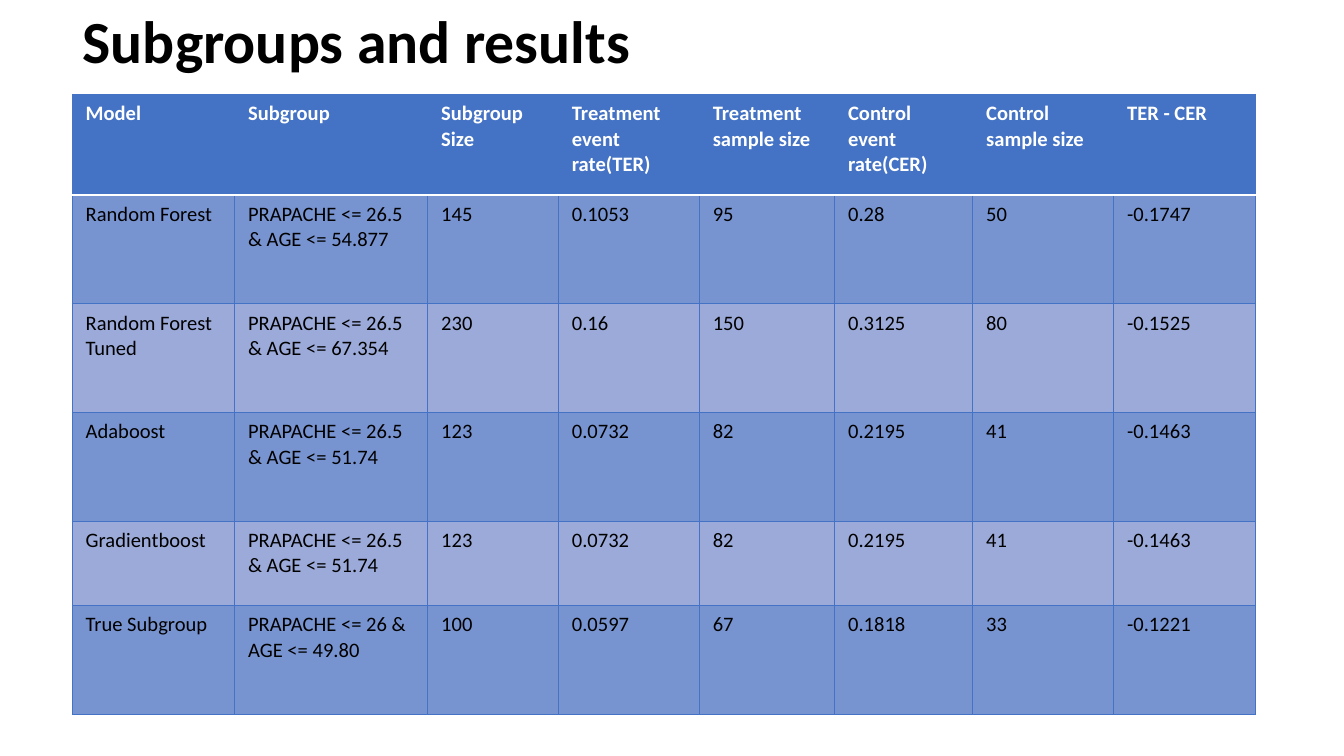
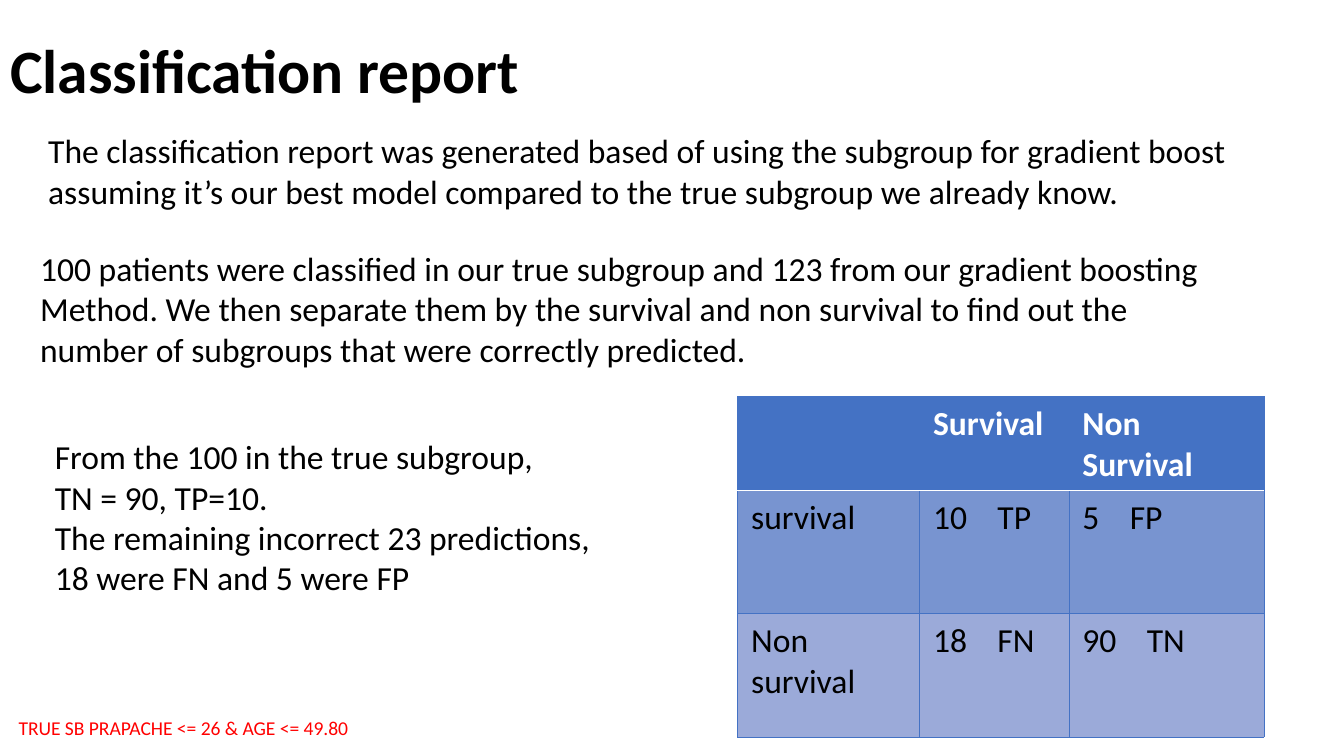
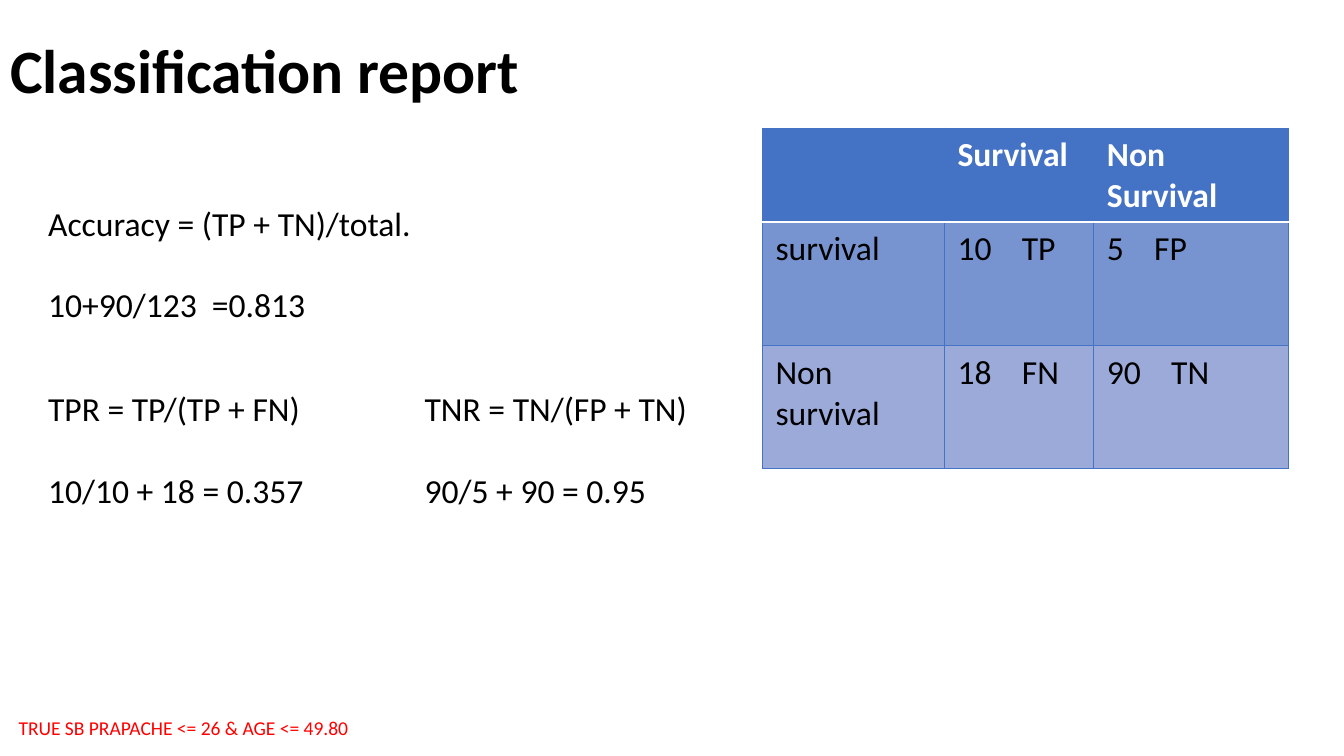
from dataclasses import dataclass

from lxml.etree import SubElement
from pptx import Presentation
from pptx.dml.color import RGBColor
from pptx.enum.text import MSO_ANCHOR, MSO_AUTO_SIZE, PP_ALIGN
from pptx.oxml.ns import qn
from pptx.util import Pt


@dataclass(frozen=True)
class Theme:
    font: str = "Calibri"
    ink: str = "000000"
    white: str = "FFFFFF"
    alert: str = "FF0000"
    header: str = "4472C4"
    bands: tuple = ("7894D0", "9BAAD9")
    results_size: float = 11
    body_size: float = 18
    footer_size: float = 10.5
    formula_gap: float = 22


THEME = Theme()
TITLE_ONLY = 5

RESULTS = [
    ("Model", "Subgroup", "Subgroup\nSize", "Treatment event rate(TER)",
     "Treatment sample size", "Control event rate(CER)", "Control sample size", "TER - CER"),
    ("Random Forest", "PRAPACHE <= 26.5 & AGE <= 54.877",
     "145", "0.1053", "95", "0.28", "50", "-0.1747"),
    ("Random Forest Tuned", "PRAPACHE <= 26.5 & AGE <= 67.354",
     "230", "0.16", "150", "0.3125", "80", "-0.1525"),
    ("Adaboost", "PRAPACHE <= 26.5 & AGE <= 51.74",
     "123", "0.0732", "82", "0.2195", "41", "-0.1463"),
    ("Gradientboost", "PRAPACHE <= 26.5 & AGE <= 51.74",
     "123", "0.0732", "82", "0.2195", "41", "-0.1463"),
    ("True Subgroup", "PRAPACHE <= 26 & AGE <= 49.80",
     "100", "0.0597", "67", "0.1818", "33", "-0.1221"),
]
RESULTS_COLUMNS = (87, 103.5, 70, 75.5, 72.5, 74, 75.5, 76)
RESULTS_ROWS = (54, 58.2, 58.2, 58.2, 45.2, 58.2)

CONFUSION = [
    ("", "Survival", "Non Survival"),
    ("survival", "10    TP", "5    FP"),
    ("Non survival", "18    FN", "90    TN"),
]
CONFUSION_COLUMNS = (97.5, 80, 104.5)
CONFUSION_ROWS = (36, 66, 66)

REPORT_TITLE = "Classification report"
FOOTER = "TRUE SB PRAPACHE <= 26 & AGE <= 49.80"

# Each entry: (left, top, width, height), lines
EXPLANATIONS = [
    ((18.7, 66.2, 658, 51), [
        "The classification report was generated based of using the subgroup for gradient boost",
        "assuming it’s our best model compared to the true subgroup we already know."]),
    ((14.4, 129.2, 647, 73), [
        "100 patients were classified in our true subgroup and 123 from our gradient boosting",
        "Method. We then separate them by the survival and non survival to find out the",
        "number of subgroups that were correctly predicted."]),
    ((22.3, 230.2, 305, 94.5), [
        "From the 100 in the true subgroup,",
        "TN = 90, TP=10.",
        "The remaining incorrect 23 predictions,",
        "18 were FN and 5 were FP"]),
]
FORMULAS = [
    ((18.7, 105, 211, 73), ["Accuracy = (TP + TN)/total.", "10+90/123  =0.813"]),
    ((220.4, 204.5, 157, 73), ["TNR = TN/(FP + TN)", "90/5 + 90 = 0.95"]),
    ((18.7, 204.5, 360, 73), ["TPR = TP/(TP + FN)", "10/10 + 18 = 0.357"]),
]


def points(values):
    return [Pt(value) for value in values]


def style_text(frame, size, color, bold=False):
    for paragraph in frame.paragraphs:
        for run in paragraph.runs:
            run.font.name = THEME.font
            run.font.size = Pt(size)
            run.font.bold = bold
            run.font.color.rgb = RGBColor.from_string(color)


def add_titled_slide(deck, heading, box, size):
    slide = deck.slides.add_slide(deck.slide_layouts[TITLE_ONLY])
    title = slide.shapes.title
    title.left, title.top, title.width, title.height = points(box)
    frame = title.text_frame
    frame.text = heading
    frame.auto_size = MSO_AUTO_SIZE.NONE
    frame.vertical_anchor = MSO_ANCHOR.MIDDLE
    frame.margin_left = frame.margin_right = Pt(5.4)
    frame.margin_top = frame.margin_bottom = Pt(2.7)
    frame.paragraphs[0].alignment = PP_ALIGN.LEFT
    frame.paragraphs[0].line_spacing = 0.9
    style_text(frame, size, THEME.ink, bold=True)
    return slide


def add_lines(slide, box, lines, size=THEME.body_size, color=THEME.ink, gap=0):
    frame = slide.shapes.add_textbox(*points(box)).text_frame
    frame.text = "\n".join(lines)
    frame.word_wrap = False
    frame.auto_size = MSO_AUTO_SIZE.SHAPE_TO_FIT_TEXT
    for paragraph in frame.paragraphs[:-1]:
        paragraph.space_after = Pt(gap)
    style_text(frame, size, color)


def draw_borders(cell, row):
    """Outline a cell in the header colour, with a white rule under the header."""
    properties = cell._tc.get_or_add_tcPr()
    for index, side in enumerate(("lnL", "lnR", "lnT", "lnB")):
        under_header = (row, side) in ((0, "lnB"), (1, "lnT"))
        width, color = (1, THEME.white) if under_header else (0.5, THEME.header)
        line = SubElement(properties, qn(f"a:{side}"), w=str(int(Pt(width))))
        fill = SubElement(line, qn("a:solidFill"))
        SubElement(fill, qn("a:srgbClr"), val=color)
        properties.insert(index, line)


def add_banded_table(slide, left, top, rows, widths, heights, size):
    table = slide.shapes.add_table(
        len(rows), len(widths), *points((left, top, sum(widths), sum(heights)))).table
    table.horz_banding = False
    for column, width in zip(table.columns, widths):
        column.width = Pt(width)
    for r, (values, height) in enumerate(zip(rows, heights)):
        table.rows[r].height = Pt(height)
        is_header = r == 0
        fill = THEME.header if is_header else THEME.bands[(r - 1) % 2]
        for c, value in enumerate(values):
            cell = table.cell(r, c)
            cell.text_frame.text = value
            style_text(cell.text_frame, size, THEME.white if is_header else THEME.ink, is_header)
            cell.fill.solid()
            cell.fill.fore_color.rgb = RGBColor.from_string(fill)
            draw_borders(cell, r)


def add_report_slide(deck, table_left, table_top, blocks, gap=0):
    slide = add_titled_slide(deck, REPORT_TITLE, (0, 0, 620.6, 78.5), 33)
    add_lines(slide, (2.9, 380.2, 196, 20), [FOOTER], THEME.footer_size, THEME.alert)
    add_banded_table(slide, table_left, table_top, CONFUSION,
                     CONFUSION_COLUMNS, CONFUSION_ROWS, THEME.body_size)
    for box, lines in blocks:
        add_lines(slide, box, lines, gap=gap)


def main():
    deck = Presentation()
    deck.slide_width, deck.slide_height = Pt(720), Pt(405)

    results = add_titled_slide(deck, "Subgroups and results", (38.9, 2.2, 525.6, 43.2), 32)
    add_banded_table(results, 38.7, 50.5, RESULTS,
                     RESULTS_COLUMNS, RESULTS_ROWS, THEME.results_size)
    add_report_slide(deck, 395.2, 212.4, EXPLANATIONS)
    add_report_slide(deck, 408.3, 68.6, FORMULAS, THEME.formula_gap)

    deck.save("out.pptx")


if __name__ == "__main__":
    main()
